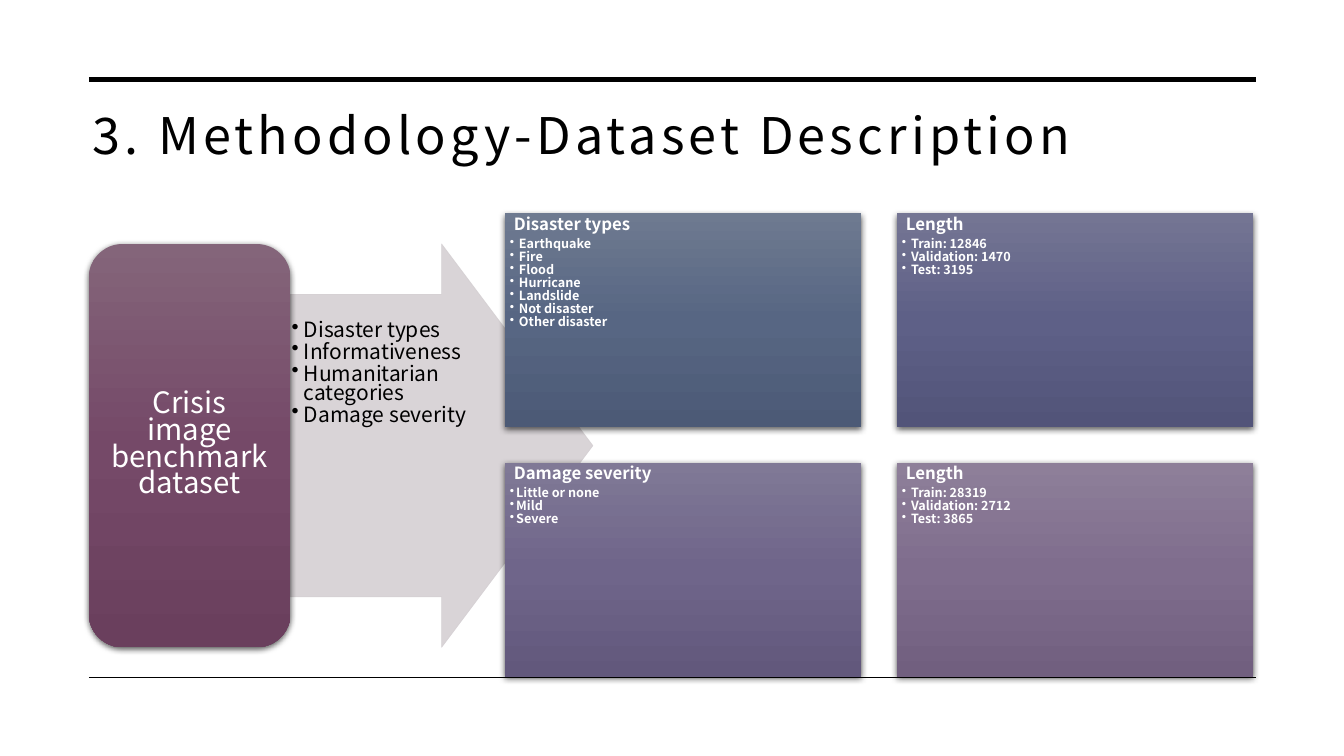
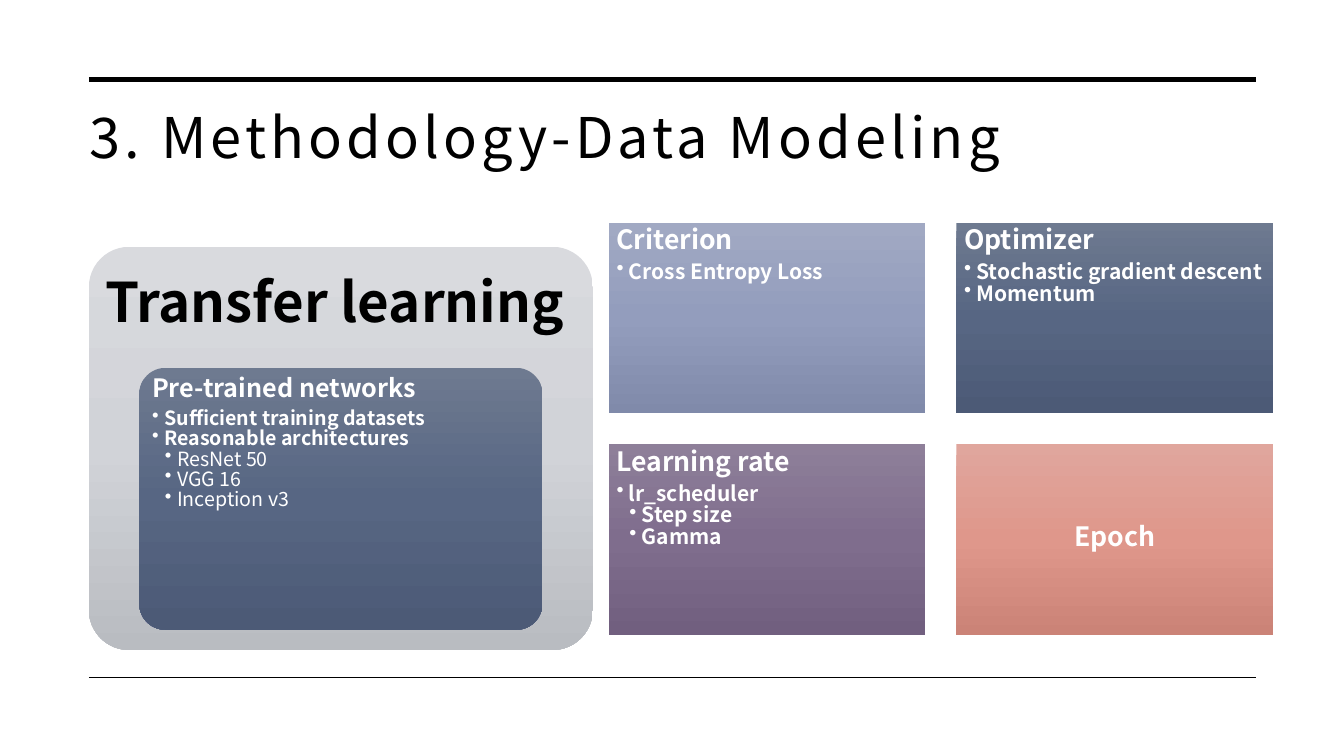
from copy import deepcopy
from dataclasses import dataclass

from lxml.etree import SubElement
from pptx import Presentation
from pptx.dml.color import RGBColor
from pptx.enum.shapes import MSO_CONNECTOR, MSO_SHAPE
from pptx.enum.text import MSO_ANCHOR, PP_ALIGN
from pptx.oxml.ns import qn
from pptx.util import Cm, Pt

FONT = "Noto Sans CJK SC"
BLACK = RGBColor(0x00, 0x00, 0x00)
WHITE = RGBColor(0xFF, 0xFF, 0xFF)
ARROW_GREY = RGBColor(0xD5, 0xD0, 0xD3)

PLUM = (RGBColor(0x84, 0x65, 0x7A), RGBColor(0x75, 0x49, 0x68), RGBColor(0x6A, 0x3F, 0x5D))
SLATE = (RGBColor(0x6E, 0x7A, 0x90), RGBColor(0x57, 0x66, 0x83), RGBColor(0x4C, 0x5A, 0x76))
INDIGO = (RGBColor(0x74, 0x75, 0x93), RGBColor(0x5E, 0x60, 0x87), RGBColor(0x52, 0x54, 0x79))
VIOLET = (RGBColor(0x80, 0x79, 0x96), RGBColor(0x6F, 0x65, 0x8A), RGBColor(0x62, 0x58, 0x7C))
MAUVE = (RGBColor(0x8E, 0x7F, 0x99), RGBColor(0x7F, 0x6D, 0x8D), RGBColor(0x71, 0x5F, 0x7F))
PERIWINKLE = (RGBColor(0xA1, 0xA9, 0xC3), RGBColor(0x93, 0x9D, 0xBD), RGBColor(0x80, 0x8A, 0xAA))
CORAL = (RGBColor(0xE0, 0xA6, 0x9D), RGBColor(0xDF, 0x97, 0x8B), RGBColor(0xCB, 0x83, 0x77))
SILVER = (RGBColor(0xD9, 0xDA, 0xDE), RGBColor(0xD1, 0xD3, 0xD8), RGBColor(0xB9, 0xBC, 0xC1))

LINE_SPACING = 0.76
TITLE_SPACING = 0.88


@dataclass(frozen=True)
class Area:
    left: float
    top: float
    width: float
    height: float

    def lengths(self) -> tuple:
        return Cm(self.left), Cm(self.top), Cm(self.width), Cm(self.height)


@dataclass(frozen=True)
class Line:
    text: str
    size: float
    bold: bool = True
    color: RGBColor = WHITE
    margin: float = 0
    hanging: float = 0
    centred: bool = False


@dataclass(frozen=True)
class Grid:
    first: Area
    column_step: float
    row_step: float

    def cell(self, index: int) -> Area:
        row, column = divmod(index, 2)
        return Area(self.first.left + column * self.column_step,
                    self.first.top + row * self.row_step,
                    self.first.width, self.first.height)


@dataclass(frozen=True)
class Card:
    gradient: tuple
    lines: list


def bullets(texts: list, size: float, margin: float, hanging: float,
            bold: bool = True, color: RGBColor = WHITE) -> list:
    return [Line(text, size, bold, color, margin, hanging) for text in texts]


def write_lines(box, lines: list, insets: tuple, middle: bool = False,
                spacing: float = LINE_SPACING, tracking: int = 0) -> None:
    frame = box.text_frame
    frame.word_wrap = True
    frame.vertical_anchor = MSO_ANCHOR.MIDDLE if middle else MSO_ANCHOR.TOP
    side, edge = insets
    frame.margin_left = frame.margin_right = Cm(side)
    frame.margin_top = frame.margin_bottom = Cm(edge)
    for index, line in enumerate(lines):
        para = frame.add_paragraph() if index else frame.paragraphs[0]
        para.text = line.text
        properties = para._p.get_or_add_pPr()
        properties.set("marL", str(Cm(line.margin)))
        properties.set("indent", str(-Cm(line.hanging)))
        if line.hanging:
            SubElement(properties, qn("a:buChar")).set("char", "•")
        para.alignment = PP_ALIGN.CENTER if line.centred else PP_ALIGN.LEFT
        para.line_spacing = spacing
        para.space_after = Pt(round(line.size * (0.12 if line.hanging else 0.35), 1))
        font = para.font
        font.name = FONT
        font.size = Pt(line.size)
        font.bold = line.bold
        font.color.rgb = line.color
        if tracking:
            font._rPr.set("spc", str(tracking))


def add_text(page, area: Area, lines: list, insets: tuple, middle: bool = False,
             spacing: float = LINE_SPACING, tracking: int = 0) -> None:
    box = page.shapes.add_textbox(*area.lengths())
    write_lines(box, lines, insets, middle, spacing, tracking)


def add_shadow(box) -> None:
    effects = box._element.spPr.find(qn("a:effectLst"))
    shadow = SubElement(effects, qn("a:outerShdw"), blurRad=str(Pt(4.5)),
                        dist=str(Pt(1.5)), dir="5400000", rotWithShape="0")
    color = SubElement(shadow, qn("a:srgbClr"), val=str(BLACK))
    SubElement(color, qn("a:alpha"), val="63000")


def add_block(page, kind, area: Area, gradient: tuple, shadow: bool = False):
    box = page.shapes.add_shape(kind, *area.lengths())
    box.shadow.inherit = False
    box.line.fill.background()
    box.fill.gradient()
    box.fill.gradient_angle = 270
    stop_list = next(box._element.spPr.iter(qn("a:gsLst")))
    stop_list.append(deepcopy(stop_list[-1]))
    for index, (stop, color) in enumerate(zip(box.fill.gradient_stops, gradient)):
        stop.position = index / 2
        stop.color.rgb = color
    if shadow:
        add_shadow(box)
    return box


def add_cards(page, grid: Grid, cards: list, inset: float, shadow: bool) -> None:
    for index, card in enumerate(cards):
        box = add_block(page, MSO_SHAPE.RECTANGLE, grid.cell(index), card.gradient, shadow)
        write_lines(box, card.lines, (inset, inset), middle=card.lines[0].centred)


def add_rule(page, top: float, weight: float) -> None:
    rule = page.shapes.add_connector(MSO_CONNECTOR.STRAIGHT, Cm(2.24), Cm(top), Cm(31.65), Cm(top))
    rule.line.color.rgb = BLACK
    rule.line.width = Pt(weight)
    SubElement(rule._element.spPr, qn("a:effectLst"))


def add_page(deck, title: str, size: float, area: Area):
    page = deck.slides.add_slide(deck.slide_layouts[6])
    add_text(page, area, [Line(title, size, False, BLACK)], (0.3, 0.3),
             spacing=TITLE_SPACING, tracking=300)
    add_rule(page, 2.01, 3.5)
    add_rule(page, 17.07, 1)
    return page


def add_arrow(page) -> None:
    arrow = page.shapes.add_shape(MSO_SHAPE.RIGHT_ARROW, *Area(7.32, 6.15, 7.62, 10.16).lengths())
    arrow.shadow.inherit = False
    arrow.adjustments[0] = 0.75
    arrow.adjustments[1] = 0.5
    arrow.fill.solid()
    arrow.fill.fore_color.rgb = ARROW_GREY
    arrow.line.color.rgb = ARROW_GREY
    arrow.line.width = Pt(0.5)
    for color in arrow._element.spPr.iter(qn("a:srgbClr")):
        SubElement(color, qn("a:alpha"), val="90000")


def dataset_card(gradient: tuple, heading: str, items: list, margin: float = 0.23) -> Card:
    return Card(gradient, [Line(heading, 12, margin=0.1), *bullets(items, 9, margin, margin)])


def build_dataset_page(deck) -> None:
    page = add_page(deck, "3. Methodology-Dataset Description", 36, Area(2.03, 2.51, 29.51, 2.21))
    add_arrow(page)
    tasks = ["Disaster types", "Informativeness", "Humanitarian categories", "Damage severity"]
    add_text(page, Area(7.32, 8.1, 4.78, 6.94),
             bullets(tasks, 15, 0.31, 0.31, False, BLACK), (0.03, 0.03))
    source = add_block(page, MSO_SHAPE.ROUNDED_RECTANGLE, Area(2.24, 6.15, 5.08, 10.16), PLUM, True)
    write_lines(source, [Line("Crisis image benchmark dataset", 21, False, centred=True)],
                (0.25, 0.1), middle=True)
    cards = [
        dataset_card(SLATE, "Disaster types",
                     ["Earthquake", "Fire", "Flood", "Hurricane", "Landslide",
                      "Not disaster", "Other disaster"]),
        dataset_card(INDIGO, "Length", ["Train: 12846", "Validation: 1470", "Test: 3195"]),
        dataset_card(VIOLET, "Damage severity", ["Little or none", "Mild", "Severe"], 0.16),
        dataset_card(MAUVE, "Length", ["Train: 28319", "Validation: 2712", "Test: 3865"]),
    ]
    add_cards(page, Grid(Area(12.73, 5.38, 8.97, 5.39), 9.88, 6.28), cards, 0.12, True)


def build_modeling_page(deck) -> None:
    page = add_page(deck, "3. Methodology-Data Modeling", 40, Area(1.96, 2.51, 29.9, 3.81))
    cards = [
        Card(PERIWINKLE, [Line("Criterion", 19), *bullets(["Cross Entropy Loss"], 15, 0.31, 0.31)]),
        Card(SLATE, [Line("Optimizer", 19),
                     *bullets(["Stochastic gradient descent", "Momentum"], 15, 0.31, 0.31)]),
        Card(MAUVE, [Line("Learning rate", 19),
                     *bullets(["lr_scheduler"], 15, 0.31, 0.31),
                     *bullets(["Step size", "Gamma"], 15, 0.63, 0.31)]),
        Card(CORAL, [Line("Epoch", 19, centred=True)]),
    ]
    add_cards(page, Grid(Area(15.34, 5.61, 7.98, 4.8), 8.76, 5.59), cards, 0.2, False)

    panel = add_block(page, MSO_SHAPE.ROUNDED_RECTANGLE, Area(2.24, 6.22, 12.7, 10.16), SILVER)
    panel.adjustments[0] = 0.1
    add_text(page, Area(2.24, 6.22, 12.7, 3.05),
             [Line("Transfer learning", 39, color=BLACK)], (0.41, 0.41), middle=True)
    networks = add_block(page, MSO_SHAPE.ROUNDED_RECTANGLE, Area(3.51, 9.27, 10.16, 6.6), SLATE)
    networks.adjustments[0] = 0.1
    write_lines(networks, [
        Line("Pre-trained networks", 18),
        *bullets(["Sufficient training datasets", "Reasonable architectures"], 14, 0.31, 0.31),
        *bullets(["ResNet 50", "VGG 16", "Inception v3"], 14, 0.63, 0.31, bold=False),
    ], (0.13, 0.1))


def main() -> None:
    deck = Presentation()
    deck.slide_width = Cm(33.87)
    deck.slide_height = Cm(19.05)
    build_dataset_page(deck)
    build_modeling_page(deck)
    deck.save("out.pptx")


if __name__ == "__main__":
    main()
